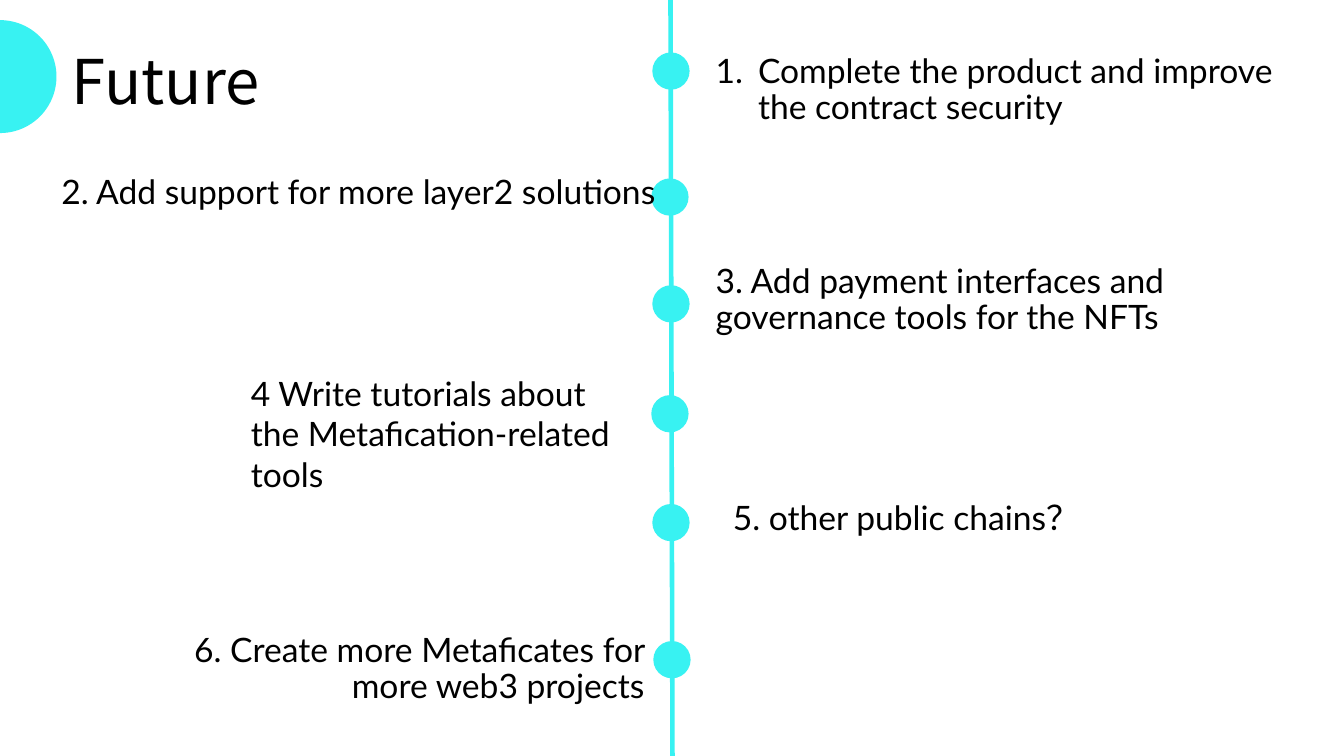
"""Builds the "Future" roadmap slide with a vertical timeline."""
from lxml.etree import SubElement
from pptx import Presentation
from pptx.dml.color import RGBColor
from pptx.enum.shapes import MSO_CONNECTOR as Connector, MSO_SHAPE as Shape
from pptx.enum.text import PP_ALIGN as Align
from pptx.oxml.ns import qn
from pptx.util import Inches, Pt

COLORS = {"text": "000000", "accent": "38F2F2"}
TITLE_FONT, BODY_FONT = "Noto Sans CJK SC", "Lato"
DOT_SIZE = 0.37
DOTS = [(6.47, 0.52), (6.46, 1.77), (6.47, 2.83), (6.46, 3.92), (6.47, 5), (6.48, 6.36)]
TIGHT = {"spacing": 0.9, "inset": 0.1}
STEPS = [
    ("Complete the product and improve the contract security",
     (6.92, 0.44, 5.91, 0.73), {**TIGHT, "margin": 0.5, "hanging": 0.42, "numbered": True}),
    ("2. Add support for more layer2 solutions", (0.43, 1.65, 9.59, 0.5), {}),
    ("3. Add payment interfaces and governance tools for the NFTs",
     (6.92, 2.52, 5.91, 0.73), TIGHT),
    ("4 Write tutorials about the Metafication-related tools", (2.31, 3.65, 3.97, 0.91), {}),
    ("5. other public chains？", (7.09, 4.88, 4.71, 0.73), TIGHT),
    ("6. Create more Metaficates for more web3 projects",
     (1.67, 6.18, 4.82, 0.73), {**TIGHT, "align": Align.RIGHT}),
]


def color(name):
    """Return a palette colour."""
    return RGBColor.from_string(COLORS[name])


def add_text(page, text, frame, *, size=24, font=BODY_FONT, margin=0.08, hanging=0,
             spacing=None, inset=None, align=Align.LEFT, numbered=False):
    """Add a text box with one paragraph."""
    box = page.shapes.add_textbox(*map(Inches, frame)).text_frame
    box.word_wrap = True
    if inset is not None:
        box.margin_left = box.margin_right = Inches(inset)
        box.margin_top = box.margin_bottom = Inches(inset)
    para = box.paragraphs[0]
    para.alignment = align
    if spacing:
        para.line_spacing = spacing
    properties = para._p.get_or_add_pPr()
    properties.set("marL", str(Inches(margin)))
    properties.set("indent", str(-Inches(hanging)))
    if numbered:
        SubElement(properties, qn("a:buFont"), typeface=font)
        SubElement(properties, qn("a:buAutoNum"), type="arabicPeriod")
    span = para.add_run()
    span.text = text
    span.font.size = Pt(size)
    span.font.name = font
    span.font.color.rgb = color("text")


def add_circle(page, left, top, diameter):
    """Add a filled circle without an outline."""
    circle = page.shapes.add_shape(Shape.OVAL, *map(Inches, (left, top, diameter, diameter)))
    circle.shadow.inherit = False
    circle.fill.solid()
    circle.fill.fore_color.rgb = color("accent")
    circle.line.fill.background()


def add_line(page, start, end, width):
    """Add a straight line between two points."""
    line = page.shapes.add_connector(Connector.STRAIGHT, *map(Inches, (*start, *end)))
    line.line.color.rgb = color("accent")
    line.line.width = Pt(width)
    SubElement(line._element.spPr, qn("a:effectLst"))


def main():
    """Build and save the slide."""
    deck = Presentation()
    deck.slide_width, deck.slide_height = Inches(13.33), Inches(7.5)
    page = deck.slides.add_slide(deck.slide_layouts[6])
    add_text(page, "Future", (0.61, 0.46, 18, 1.35),
             size=44, font=TITLE_FONT, margin=0, spacing=0.9)
    add_circle(page, -0.56, 0.2, 1.12)
    add_line(page, (6.65, 0), (6.67, 7.5), 3.25)
    for left, top in DOTS:
        add_circle(page, left, top, DOT_SIZE)
    for text, frame, style in STEPS:
        add_text(page, text, frame, **style)
    deck.save("out.pptx")


if __name__ == "__main__":
    main()
